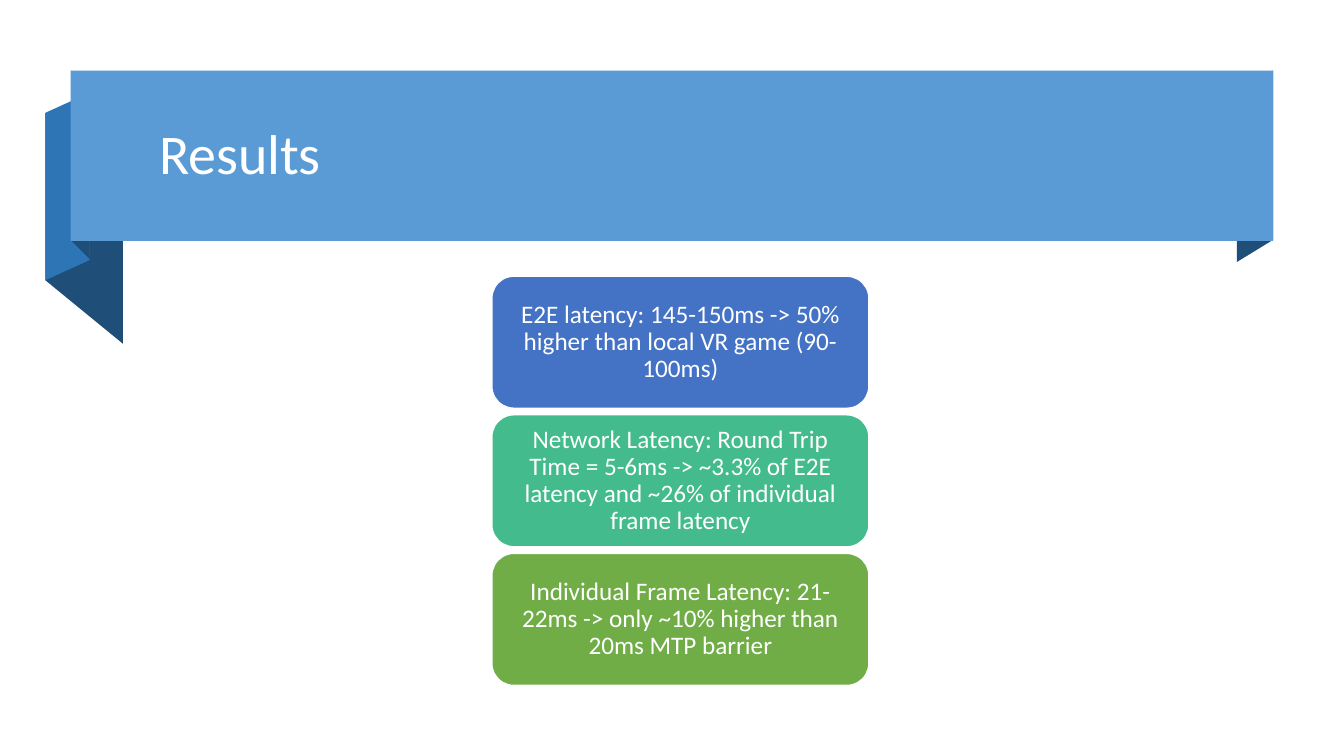
from pptx import Presentation
from pptx.dml.color import RGBColor
from pptx.enum.shapes import MSO_SHAPE
from pptx.enum.text import MSO_ANCHOR, PP_ALIGN
from pptx.util import Inches, Pt

WHITE = RGBColor(0xFF, 0xFF, 0xFF)
NAVY = RGBColor(0x1F, 0x4E, 0x79)
BLUE = RGBColor(0x2E, 0x75, 0xB6)
SKY = RGBColor(0x5B, 0x9B, 0xD5)
INDIGO = RGBColor(0x44, 0x72, 0xC4)
TEAL = RGBColor(0x43, 0xBB, 0x8D)
GREEN = RGBColor(0x70, 0xAD, 0x47)

CELL = Inches(0.1)


def cells(*counts):
    return [round(count * CELL) for count in counts]


def write(frame, text, size, align):
    frame.word_wrap = True
    frame.vertical_anchor = MSO_ANCHOR.MIDDLE
    frame.text = text
    paragraph = frame.paragraphs[0]
    paragraph.alignment = align
    paragraph.line_spacing = 0.9
    font = paragraph.runs[0].font
    font.name = "Calibri"
    font.size = Pt(size)
    font.color.rgb = WHITE


deck = Presentation()
deck.slide_width, deck.slide_height = cells(133.33, 75)
slide = deck.slides.add_slide(deck.slide_layouts[6])
shapes = slide.shapes

ribbon_folds = [
    (NAVY, [(126.3, 23.8), (122.7, 26), (122.7, 9.1), (126.3, 7)]),
    (NAVY, [(12.2, 34.1), (4.5, 27.8), (4.5, 11.2), (12.2, 17.5)]),
    (BLUE, [(8.9, 25.8), (4.5, 27.8), (4.5, 11.2), (8.9, 9.2)]),
    (NAVY, [(8.9, 25.7), (7.1, 23.9), (7.1, 7), (8.9, 8.9)]),
]
for color, corners in ribbon_folds:
    points = [cells(*corner) for corner in corners]
    outline = shapes.build_freeform(*points[0])
    outline.add_line_segments(points[1:], close=True)
    fold = outline.convert_to_shape()
    fold.shadow.inherit = False
    fold.fill.solid()
    fold.fill.fore_color.rgb = color
    fold.line.fill.background()

banner = shapes.add_shape(MSO_SHAPE.RECTANGLE, *cells(7, 7, 119.3, 16.9))
banner.shadow.inherit = False
banner.fill.solid()
banner.fill.fore_color.rgb = SKY
banner.line.fill.background()

title = shapes.add_textbox(*cells(14.8, 8.3, 109.4, 14.5))
write(title.text_frame, "Results", 40, PP_ALIGN.LEFT)

findings = [
    (INDIGO, "E2E latency: 145-150ms -> 50% higher than local VR game (90-100ms)"),
    (TEAL, "Network Latency: Round Trip Time = 5-6ms -> ~3.3% of E2E latency and ~26% of individual frame latency"),
    (GREEN, "Individual Frame Latency: 21-22ms -> only ~10% higher than 20ms MTP barrier"),
]
first_top, row_pitch = 27.4, 13.75
for row, (color, finding) in enumerate(findings):
    card = shapes.add_shape(
        MSO_SHAPE.ROUNDED_RECTANGLE,
        *cells(48.8, first_top + row * row_pitch, 37.4, 13.1),
    )
    card.shadow.inherit = False
    card.fill.solid()
    card.fill.fore_color.rgb = color
    card.line.color.rgb = WHITE
    card.line.width = Pt(1)
    frame = card.text_frame
    frame.margin_left, frame.margin_top = cells(0.7, 0.4)
    frame.margin_right, frame.margin_bottom = cells(0.7, 0.4)
    write(frame, finding, 18, PP_ALIGN.CENTER)

deck.save("out.pptx")
